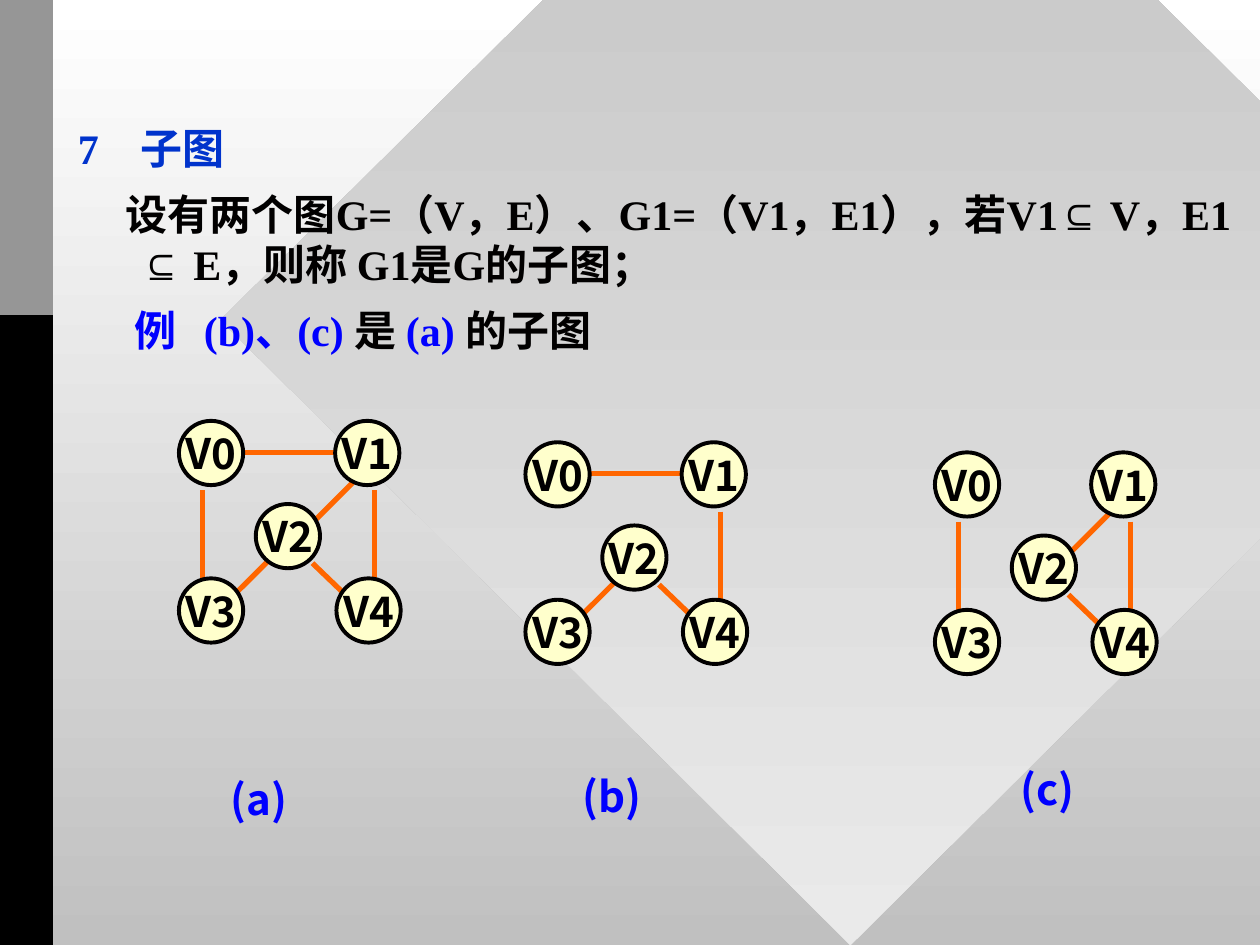
from lxml import etree
from pptx import Presentation
from pptx.dml.color import RGBColor
from pptx.enum.shapes import MSO_CONNECTOR, MSO_SHAPE
from pptx.enum.text import MSO_ANCHOR, PP_ALIGN
from pptx.oxml.ns import qn
from pptx.util import Inches, Pt

DIAMOND, RECT, OVAL = MSO_SHAPE.DIAMOND, MSO_SHAPE.RECTANGLE, MSO_SHAPE.OVAL
STRAIGHT = MSO_CONNECTOR.STRAIGHT
CENTER, MIDDLE = PP_ALIGN.CENTER, MSO_ANCHOR.MIDDLE

WHITE = RGBColor(0xFF, 0xFF, 0xFF)
SILVER = RGBColor(0xC0, 0xC0, 0xC0)
PALE = RGBColor(0xEA, 0xEA, 0xEA)
GRAY = RGBColor(0x96, 0x96, 0x96)
BLACK = RGBColor(0, 0, 0)
INK = RGBColor(0x01, 0, 0)
HEADING = RGBColor(0, 0x33, 0xCC)
BLUE = RGBColor(0, 0, 0xFF)
ORANGE = RGBColor(0xFF, 0x66, 0)
CREAM = RGBColor(0xFF, 0xFF, 0xCC)

SERIF, SANS, SYMBOL = "Times New Roman", "Noto Sans CJK SC", "Arial"
TEXT_SIZE = 24

# Content: (first-line indent, tab stop, runs) with runs as (text, font, colour)
PARAGRAPHS = [
    (-0.5, 0.67, [("7\t子图", SERIF, HEADING)]),
    (-0.12, None, [
        ("设有两个图G=（V，E）、G1=（V1，E1），若V1", SERIF, INK),
        ("⊆", SYMBOL, INK),
        (" V，E1 ", SERIF, INK),
        ("⊆", SYMBOL, INK),
        (" E，则称 G1是G的子图；", SERIF, INK),
    ]),
    (-0.05, 1.12, [
        ("例\t(b)、(c) ", SERIF, BLUE),
        ("是 ", SERIF, INK),
        ("(a) ", SERIF, BLUE),
        ("的子图", SERIF, INK),
    ]),
]

# Vertices and edges, in inches from the corner of V0
NODE_SIZE = 0.51
NODES = {"V0": (0, 0), "V4": (1.25, 1.25), "V3": (0, 1.25),
         "V1": (1.24, 0), "V2": (0.61, 0.66)}
EDGES = {
    "V0-V3": (0.19, 0.55, 0.19, 1.27),
    "V0-V1": (0.49, 0.25, 1.32, 0.25),
    "V1-V4": (1.55, 0.55, 1.55, 1.27),
    "V2-V3": (0.73, 1.09, 0.43, 1.39),
    "V1-V2": (1.38, 0.49, 1.08, 0.79),
    "V2-V4": (1.06, 1.13, 1.32, 1.38),
}

# Graphs: caption, corner of V0, corner of caption, edges shown
GRAPHS = [
    ("(a)", (1.42, 3.34), (1.44, 6.09), list(EDGES)),
    ("(b)", (4.17, 3.51), (4.24, 6.07), ["V0-V1", "V1-V4", "V2-V3", "V2-V4"]),
    ("(c)", (7.42, 3.59), (7.7, 6.01), ["V0-V3", "V1-V4", "V1-V2", "V2-V4"]),
]


def set_gradient(fill, top, bottom):
    fill.gradient()
    fill.gradient_angle = 270
    for stop, color in zip(fill.gradient_stops, (top, bottom)):
        stop.color.rgb = color


def add_shape(shapes, kind, box, color=None):
    sp = shapes.add_shape(kind, *map(Inches, box))
    sp.shadow.inherit = False
    sp.line.fill.background()
    if color is not None:
        sp.fill.solid()
        sp.fill.fore_color.rgb = color
    return sp


def format_run(r, font, color):
    r.font.name, r.font.size, r.font.bold = font, Pt(TEXT_SIZE), True
    r.font.color.rgb = color
    east_asian = etree.SubElement(r.font._element, qn("a:ea"))
    east_asian.set("typeface", SANS)


def add_edge(shapes, ends):
    line = shapes.add_connector(STRAIGHT, *map(Inches, ends))
    line.line.color.rgb, line.line.width = ORANGE, Pt(3)
    etree.SubElement(line._element.spPr, qn("a:effectLst"))


def add_node(shapes, name, left, top):
    sp = add_shape(shapes, OVAL, (left, top, NODE_SIZE, NODE_SIZE), CREAM)
    sp.line.color.rgb, sp.line.width = INK, Pt(2.25)
    tf = sp.text_frame
    tf.text, tf.word_wrap, tf.vertical_anchor = name, False, MIDDLE
    tf.margin_left = tf.margin_right = tf.margin_top = tf.margin_bottom = 0
    p = tf.paragraphs[0]
    p.alignment = CENTER
    format_run(p.runs[0], SANS, INK)


def add_text(s, paragraphs):
    tf = s.shapes.add_textbox(*map(Inches, (0.52, 0.92, 9.68, 1.95))).text_frame
    tf.word_wrap = True
    for i, (indent, tab, runs) in enumerate(paragraphs):
        p = tf.add_paragraph() if i else tf.paragraphs[0]
        p.space_before = Pt(9)
        pPr = p._p.get_or_add_pPr()
        pPr.set("marL", str(Inches(0.5)))
        pPr.set("indent", str(Inches(indent)))
        if tab:
            tabs = etree.SubElement(pPr, qn("a:tabLst"))
            etree.SubElement(tabs, qn("a:tab"), pos=str(Inches(tab)), algn="l")
        for text, font, color in runs:
            r = p.add_run()
            r.text = text
            format_run(r, font, color)


def add_caption(s, text, left, top):
    tf = s.shapes.add_textbox(*map(Inches, (left, top, 1.23, 0.5))).text_frame
    tf.text, tf.word_wrap = text, True
    p = tf.paragraphs[0]
    p.alignment = CENTER
    format_run(p.runs[0], SANS, BLUE)


def main():
    prs = Presentation()
    prs.slide_width, prs.slide_height = Inches(10), Inches(7.5)
    s = prs.slides.add_slide(prs.slide_layouts[6])

    # Backdrop
    set_gradient(s.background.fill, WHITE, SILVER)
    diamond = add_shape(s.shapes, DIAMOND, (1.75, -2.42, 10, 9.92))
    set_gradient(diamond.fill, SILVER, PALE)
    add_shape(s.shapes, RECT, (0, 0, 0.42, 7.5), BLACK)
    add_shape(s.shapes, RECT, (0, 0, 0.42, 2.5), GRAY)

    # Definition and example
    add_text(s, PARAGRAPHS)

    # Graphs with captions
    for caption, (x, y), caption_at, edges in GRAPHS:
        add_caption(s, caption, *caption_at)
        shapes = s.shapes.add_group_shape().shapes
        for edge in edges:
            x1, y1, x2, y2 = EDGES[edge]
            add_edge(shapes, (x + x1, y + y1, x + x2, y + y2))
        for name, (dx, dy) in NODES.items():
            add_node(shapes, name, x + dx, y + dy)

    prs.save("out.pptx")


if __name__ == "__main__":
    main()
